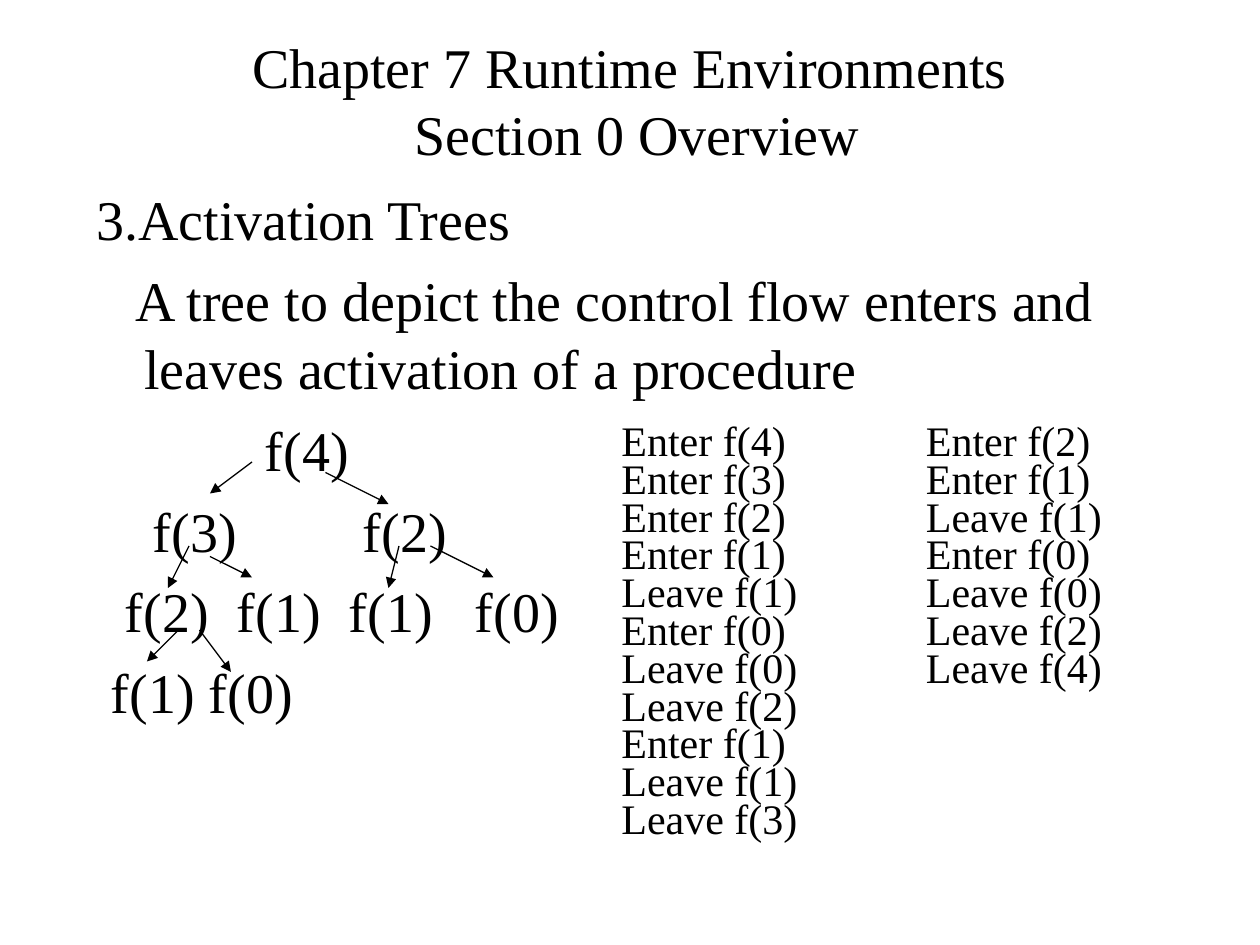
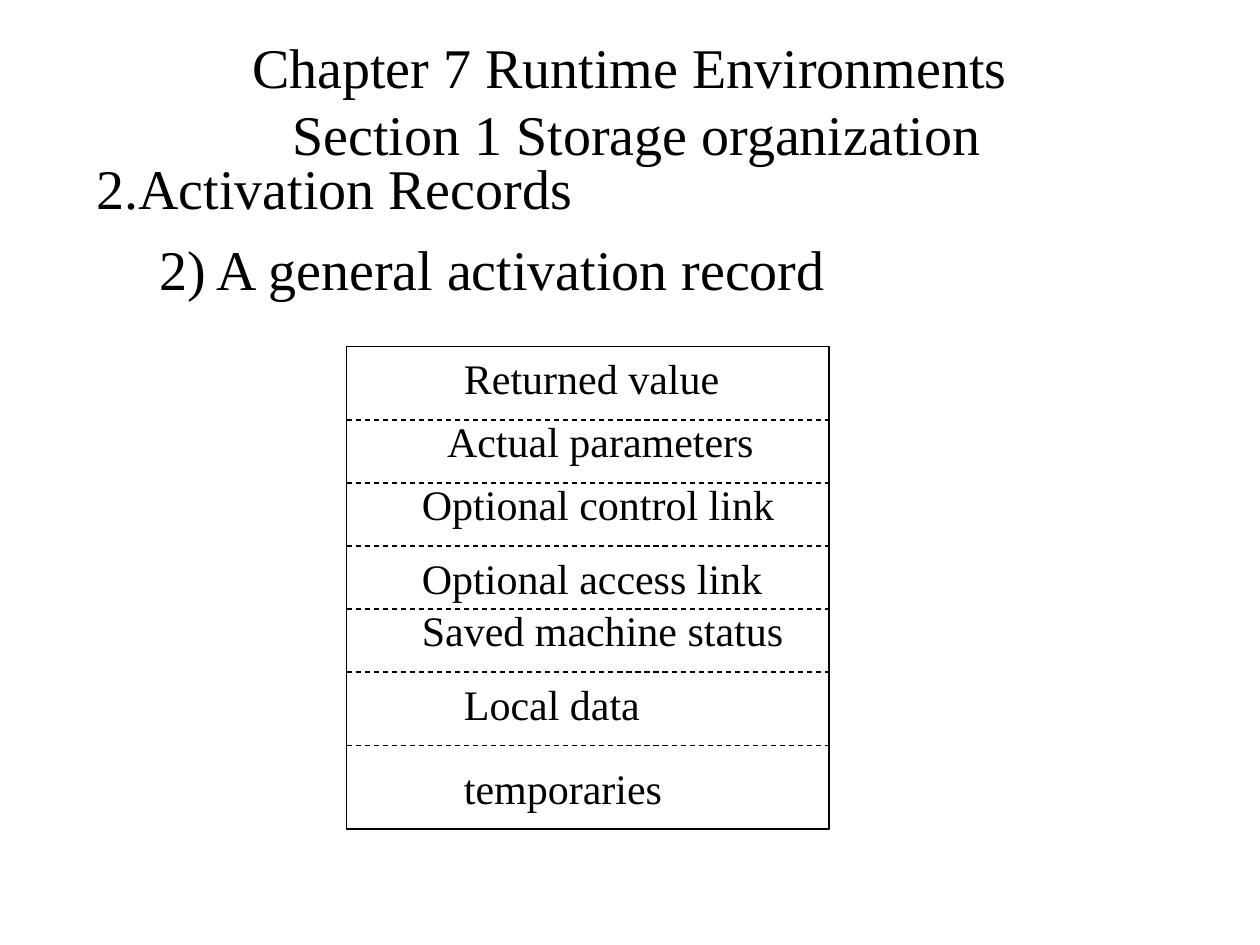
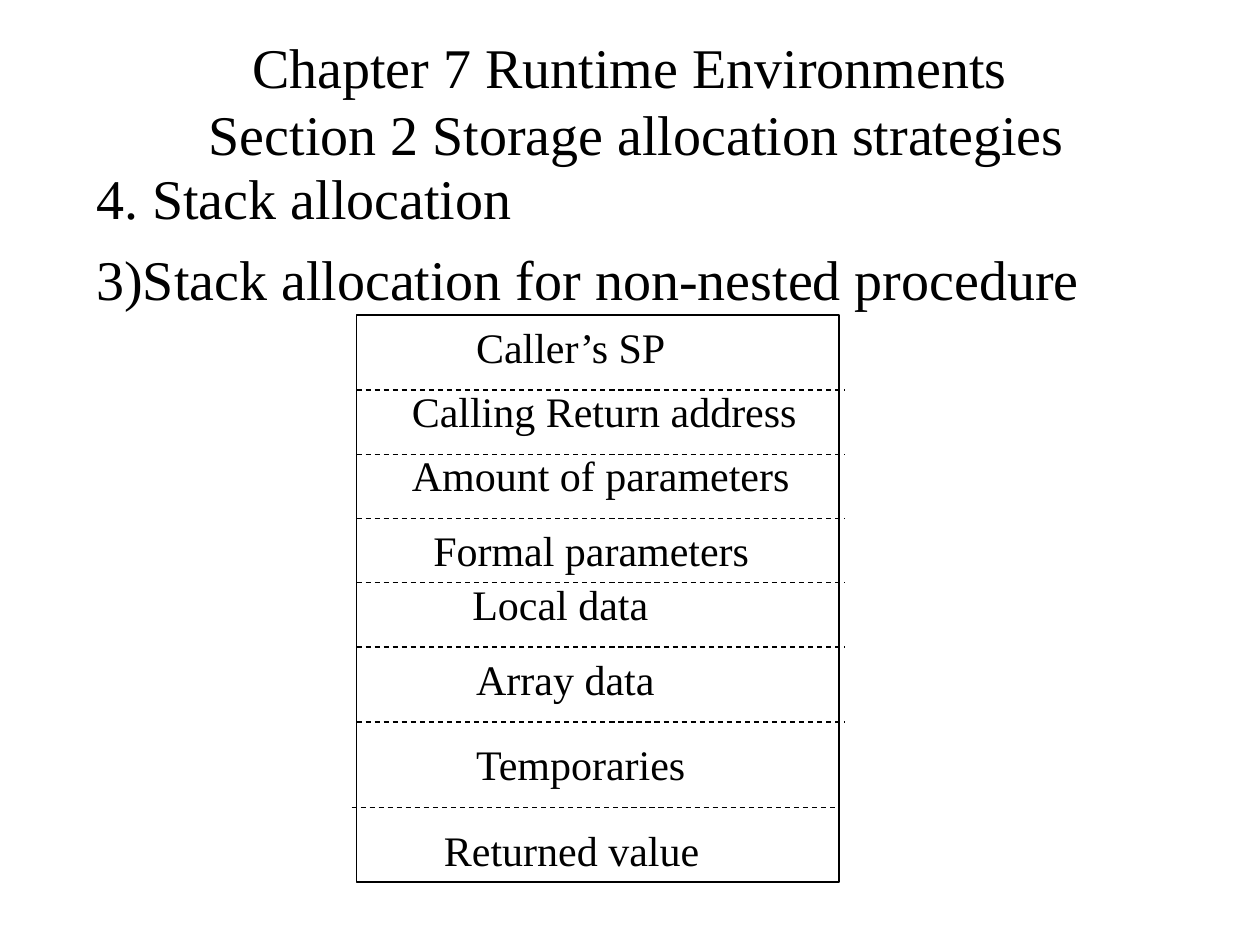
from lxml import etree
from pptx import Presentation
from pptx.dml.color import RGBColor
from pptx.enum.dml import MSO_LINE
from pptx.enum.shapes import MSO_CONNECTOR, MSO_SHAPE
from pptx.enum.text import MSO_ANCHOR, MSO_AUTO_SIZE, PP_ALIGN
from pptx.oxml.ns import qn
from pptx.util import Inches, Pt

DASH = MSO_LINE.DASH
STRAIGHT = MSO_CONNECTOR.STRAIGHT
RECT = MSO_SHAPE.RECTANGLE
MIDDLE, TOP = MSO_ANCHOR.MIDDLE, MSO_ANCHOR.TOP
FIT, FIXED = MSO_AUTO_SIZE.SHAPE_TO_FIT_TEXT, MSO_AUTO_SIZE.NONE
CENTER, LEFT = PP_ALIGN.CENTER, PP_ALIGN.LEFT

FONT, INK = "Times New Roman", "000000"
BIG, SMALL, THIN = 32, 24, 0.74
CELL = 1 / 12        # slide grid: 120 columns by 90 rows
SLACK = 0.1          # spare width that keeps a field on one line
CHAPTER = "Chapter 7 Runtime Environments"

# Boxes in grid cells
TITLE = (9, 2, 102, 15)  # left, top, width, height
BODY = (8, 108, 70)      # left, width, height

# Paragraphs: text, left margin, first-line indent (inches)
HANG = (0.38, -0.38)
TREE_TEXT = [
    ("3.Activation Trees", *HANG),
    ("A tree to depict the control flow enters and leaves activation "
     "of a procedure", 0.38, -0.07),
]
GENERAL_TEXT = [
    ("2.Activation Records", *HANG),
    ("2) A general activation record", 0.81, -0.31),
]
STACK_TEXT = [
    ("4. Stack allocation", *HANG),
    ("3)Stack allocation for non-nested procedure", *HANG),
]

# Tree rows: (node, column); the tree has its own grid, in inches
TREE = [
    [("f(4)", 12)],
    [("f(3)", 4), ("f(2)", 19)],
    [("f(2)", 2), ("f(1)", 10), ("f(1)", 18), ("f(0)", 27)],
    [("f(1)", 1), ("f(0)", 8)],
]
TREE_LEFT, TREE_TOP = 0.67, 3.25
NODE_COL, NODE_ROW, NODE_WIDTH = 1 / 9, 0.64, 1
# Arrows in grid cells: x1, y1, x2, y2
ARROWS = [
    (24, 44, 20, 47), (18, 52, 16, 56), (20, 53, 24, 55), (17, 60, 14, 63),
    (19, 60, 22, 64), (31, 45, 37, 48), (38, 52, 37, 56), (41, 52, 47, 55),
]
# Traces: left, height in cells, lines
TRACES = [
    (58, 40.8, ["Enter f(4)", "Enter f(3)", "Enter f(2)", "Enter f(1)",
                "Leave f(1)", "Enter f(0)", "Leave f(0)", "Leave f(2)",
                "Enter f(1)", "Leave f(1)", "Leave f(3)"]),
    (87, 26.4, ["Enter f(2)", "Enter f(1)", "Leave f(1)", "Enter f(0)",
                "Leave f(0)", "Leave f(2)", "Leave f(4)"]),
]

# Rows shared by both records, in units of the record's own step
FIELD_ROWS = [0, 6, 12, 19, 24, 31, 39, 47]
RULE_ROWS = [7, 13, 19, 25, 31, 38, 46]
# Fields: text, left in steps, width in inches
GENERAL = dict(
    left=2.75, top=2.75, size=(3.83, 3.83), step=CELL, rule=3.83,
    fields=[("Returned value", 10, 2.22), ("Actual parameters", 8.4, 2.63),
            ("Optional control link", 6, 2.99),
            ("Optional access link", 6, 2.9),
            ("Saved machine status", 6, 3.07), ("Local data", 10, 1.59),
            ("temporaries", 10, 1.77)])
STACK = dict(
    left=2.83, top=2.5, size=(3.83, 4.5), step=0.085, rule=3.88,
    fields=[("Caller’s SP", 10, 1.71), ("Calling Return address", 4, 3.25),
            ("Amount of parameters", 4, 3.2), ("Formal parameters", 6, 2.71),
            ("Local data", 9.65, 1.68), ("Array data", 10, 1.61),
            ("Temporaries", 10, 1.88), ("Returned value", 7, 3)])


def color(code):
    """Turn a hex string into a colour."""
    return RGBColor.from_string(code)


def cells(*nums):
    """Turn grid cells into inches."""
    return [n * CELL for n in nums]


def write(par, text, size=BIG, align=LEFT, margin=0, indent=0, before=0,
          lead=None):
    """Fill one paragraph with formatted text."""
    par.text = text
    par.alignment = align
    par.space_before = Pt(before)
    if lead:
        par.line_spacing = lead
    for run in par.runs:
        run.font.name, run.font.size = FONT, Pt(size)
        run.font.color.rgb = color(INK)
    props = par._p.get_or_add_pPr()
    props.set("marL", str(Inches(margin)))
    props.set("indent", str(Inches(indent)))


def add_text(shapes, box, items, anchor=TOP, fit=FIXED, **look):
    """Add a text box; each item is a text and its own format."""
    frame = shapes.add_textbox(*map(Inches, box)).text_frame
    frame.word_wrap, frame.auto_size = True, fit
    frame.vertical_anchor = anchor
    for i, (text, own) in enumerate(items):
        par = frame.add_paragraph() if i else frame.paragraphs[0]
        write(par, text, **{**look, **own})


def add_line(shapes, ends, dash=None, arrow=False):
    """Add a thin straight line."""
    line = shapes.add_connector(STRAIGHT, *map(Inches, ends))
    line.line.color.rgb, line.line.width = color(INK), Pt(THIN)
    if dash:
        line.line.dash_style = dash
    if arrow:
        etree.SubElement(line.line._get_or_add_ln(), qn("a:tailEnd"),
                         type="triangle")
    etree.SubElement(line._element.spPr, qn("a:effectLst"))


def add_page(deck, section, top, text):
    """Add a slide with its title and body; return its shapes."""
    shapes = deck.slides.add_slide(deck.slide_layouts[6]).shapes
    add_text(shapes, cells(*TITLE), [(f"{CHAPTER}\n {section}", {})],
             anchor=MIDDLE, align=CENTER)
    items = [(t, dict(margin=m, indent=i)) for t, m, i in text]
    left, width, height = BODY
    add_text(shapes, cells(left, top, width, height), items, before=8)
    return shapes


def add_tree(shapes):
    """Place the nodes on the tree's grid and draw the arrows."""
    for i, row in enumerate(TREE):
        for node, col in row:
            box = (TREE_LEFT + col * NODE_COL, TREE_TOP + i * NODE_ROW,
                   NODE_WIDTH, NODE_ROW)
            add_text(shapes, box, [(node, {})], before=8)
    for ends in ARROWS:
        add_line(shapes, cells(*ends), arrow=True)


def add_record(shapes, left, top, size, step, rule, fields):
    """Draw a record: a frame, its fields and the dashed rules between."""
    parts = shapes.add_group_shape().shapes
    frame = parts.add_shape(RECT, *map(Inches, (left, top, *size)))
    frame.shadow.inherit = False
    frame.fill.background()
    frame.line.color.rgb, frame.line.width = color(INK), Pt(THIN)
    for i, (text, col, width) in enumerate(fields):
        last = i == len(FIELD_ROWS) - 1
        box = (left + col * step, top + FIELD_ROWS[i] * step,
               width + SLACK, 0.5)
        add_text(parts, box, [(text, {})], size=SMALL, fit=FIT,
                 before=15 if last else 0)
    for i, row in enumerate(RULE_ROWS[:len(fields) - 1]):
        x = left - (0.04 if i == len(RULE_ROWS) - 1 else 0)
        y = top + row * step
        add_line(parts, (x, y, x + rule, y), dash=DASH)


deck = Presentation()
deck.slide_width, deck.slide_height = Inches(10), Inches(7.5)

page = add_page(deck, "Section 0 Overview", 17, TREE_TEXT)
add_tree(page)
for left, height, calls in TRACES:
    add_text(page, cells(left, 40, 22, height), [(c, {}) for c in calls],
             size=SMALL, lead=0.75, fit=FIT)

page = add_page(deck, "Section 1 Storage organization", 14, GENERAL_TEXT)
add_record(page, **GENERAL)

page = add_page(deck, "Section 2 Storage allocation strategies", 15,
                STACK_TEXT)
add_record(page, **STACK)

deck.save("out.pptx")
